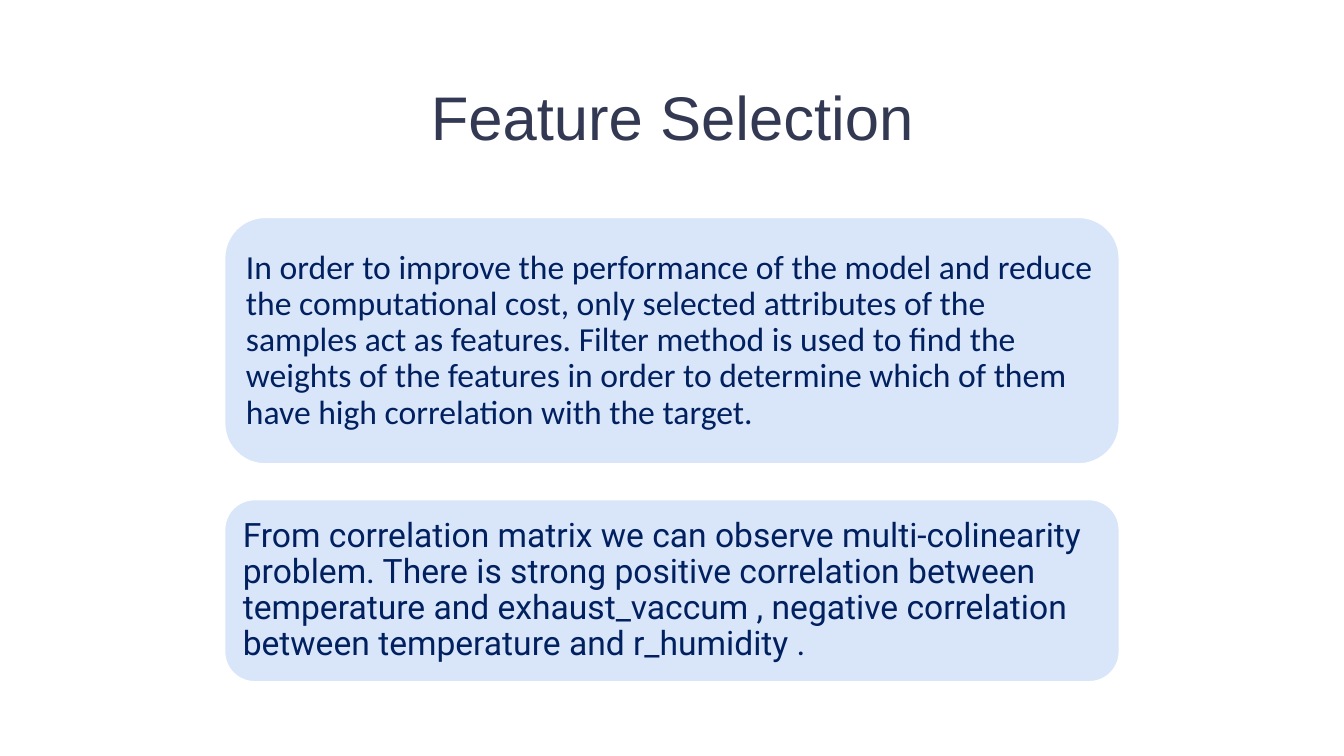
from dataclasses import dataclass

from pptx import Presentation
from pptx.dml.color import RGBColor
from pptx.enum.shapes import MSO_SHAPE
from pptx.enum.text import MSO_ANCHOR, PP_ALIGN
from pptx.shapes.autoshape import Shape
from pptx.slide import Slide
from pptx.util import Inches, Pt

SLIDE_WIDTH, SLIDE_HEIGHT = 13.33, 7.5
COLUMN = SLIDE_WIDTH / 60
ROW = SLIDE_HEIGHT / 75
COLORS = {"title": "343953", "card": "D9E5F8", "outline": "FFFFFF", "body": "002060"}


@dataclass
class Area:
    """A rectangle in grid columns and rows."""
    left: float
    top: float
    width: float
    height: float

    def box(self) -> tuple[int, int, int, int]:
        return (Inches(self.left * COLUMN), Inches(self.top * ROW),
                Inches(self.width * COLUMN), Inches(self.height * ROW))


@dataclass
class Card:
    area: Area
    font: str
    text: str


TITLE_AREA = Area(11.07, 6.8, 37.9, 9.4)
CARDS = [
    Card(Area(10, 21.5, 40, 24.6), "Calibri",
         "In order to improve the performance of the model and reduce the computational "
         "cost, only selected attributes of the samples act as features. Filter method is "
         "used to find the weights of the features in order to determine which of them "
         "have high correlation with the target."),
    Card(Area(10, 49.5, 40, 18.2), "Roboto",
         "From correlation matrix we can observe multi-colinearity problem. There is "
         "strong positive correlation between temperature and exhaust_vaccum , negative "
         "correlation between temperature and r_humidity ."),
]


def color(name: str) -> RGBColor:
    return RGBColor.from_string(COLORS[name])


def set_text(shape: Shape, text: str, font: str, size: int, color_name: str,
             alignment: PP_ALIGN, anchor: MSO_ANCHOR, line_spacing: float) -> None:
    frame = shape.text_frame
    frame.text = text
    frame.word_wrap = True
    frame.vertical_anchor = anchor
    frame.margin_left = frame.margin_right = Inches(0.1)
    frame.margin_top = frame.margin_bottom = Inches(0.1)
    paragraph = frame.paragraphs[0]
    paragraph.alignment = alignment
    paragraph.line_spacing = line_spacing
    for run in paragraph.runs:
        run.font.name = font
        run.font.size = Pt(size)
        run.font.color.rgb = color(color_name)


def draw_title(slide: Slide, text: str) -> None:
    shape = slide.shapes.add_textbox(*TITLE_AREA.box())
    set_text(shape, text, "Arial", 44, "title", PP_ALIGN.CENTER, MSO_ANCHOR.BOTTOM, 1.0)


def draw_card(slide: Slide, card: Card) -> None:
    shape = slide.shapes.add_shape(MSO_SHAPE.ROUNDED_RECTANGLE, *card.area.box())
    shape.shadow.inherit = False
    shape.fill.solid()
    shape.fill.fore_color.rgb = color("card")
    shape.line.color.rgb = color("outline")
    shape.line.width = Pt(2)
    set_text(shape, card.text, card.font, 24, "body", PP_ALIGN.LEFT, MSO_ANCHOR.MIDDLE, 0.9)


def main() -> None:
    presentation = Presentation()
    presentation.slide_width = Inches(SLIDE_WIDTH)
    presentation.slide_height = Inches(SLIDE_HEIGHT)
    slide = presentation.slides.add_slide(presentation.slide_layouts[6])

    # Heading
    draw_title(slide, "Feature Selection")

    # Explanation cards
    for card in CARDS:
        draw_card(slide, card)

    presentation.save("out.pptx")


if __name__ == "__main__":
    main()
